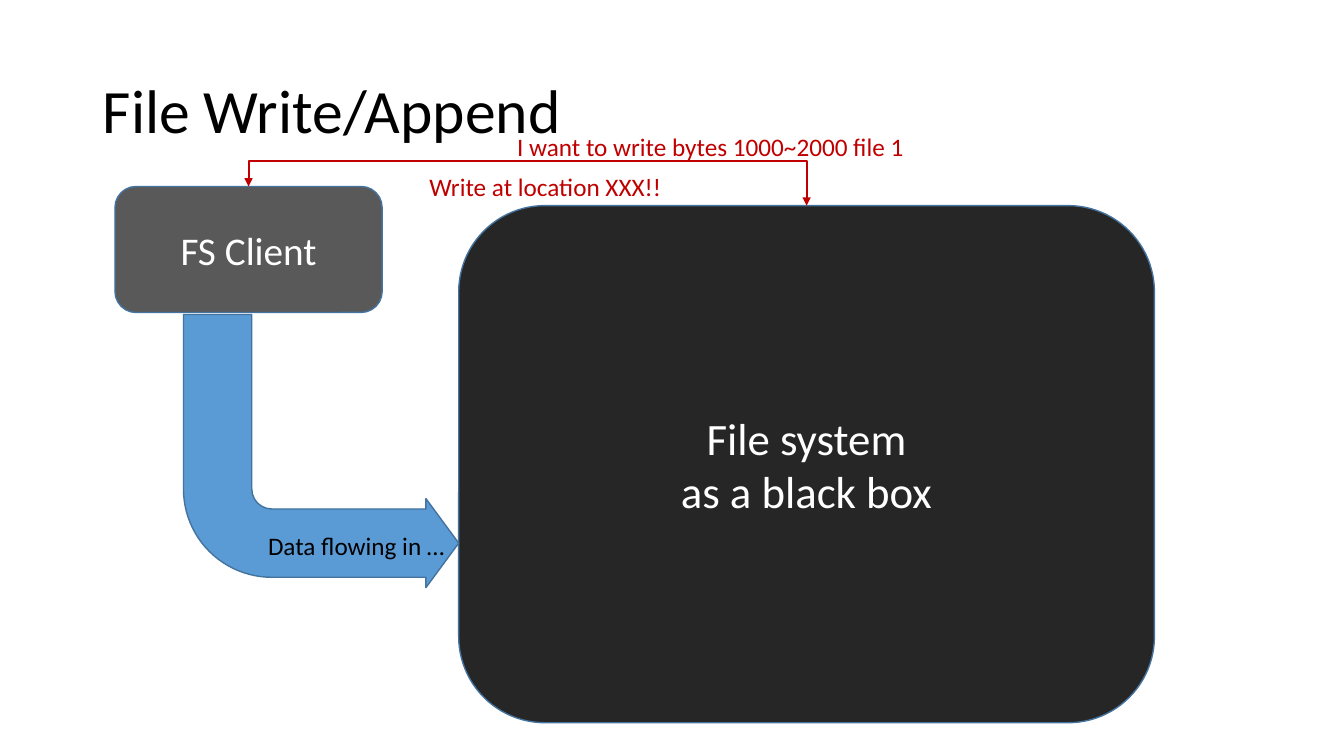
from dataclasses import dataclass

from pptx import Presentation
from pptx.dml.color import RGBColor
from pptx.enum.shapes import MSO_CONNECTOR, MSO_SHAPE
from pptx.enum.text import MSO_ANCHOR, MSO_AUTO_SIZE, PP_ALIGN
from pptx.oxml.ns import qn
from pptx.util import Inches, Pt
from lxml import etree

ELBOW = MSO_CONNECTOR.ELBOW
ROUNDED, BENT_ARROW = MSO_SHAPE.ROUNDED_RECTANGLE, MSO_SHAPE.BENT_ARROW
LEFT, CENTER = PP_ALIGN.LEFT, PP_ALIGN.CENTER
MIDDLE, TOP = MSO_ANCHOR.MIDDLE, MSO_ANCHOR.TOP
FIT_SHAPE, NO_FIT = MSO_AUTO_SIZE.SHAPE_TO_FIT_TEXT, MSO_AUTO_SIZE.NONE
TOP_SITE = 0


@dataclass(frozen=True)
class Theme:
    font: str = "Calibri"
    ink: str = "000000"
    paper: str = "FFFFFF"
    black_box: str = "262626"
    client: str = "595959"
    flow: str = "5B9BD5"
    outline: str = "43739E"
    request: str = "C00000"
    title_size: int = 44
    system_size: int = 32
    client_size: int = 28
    label_size: int = 18


THEME = Theme()


def color(value):
    return RGBColor.from_string(value)


def write(box, text, *, size, ink, align=LEFT, anchor=MIDDLE, wrap=True,
          fit=NO_FIT, spacing=1.0):
    """Fill a shape with text, one paragraph per line."""
    frame = box.text_frame
    frame.text = text
    frame.word_wrap = wrap
    frame.auto_size = fit
    frame.vertical_anchor = anchor
    for para in frame.paragraphs:
        para.alignment = align
        para.line_spacing = spacing
        for span in para.runs:
            span.font.name = THEME.font
            span.font.size = Pt(size)
            span.font.color.rgb = color(ink)


def add_title(page, text, left, top, width, height):
    title = page.shapes.title
    title.left, title.top = Inches(left), Inches(top)
    title.width, title.height = Inches(width), Inches(height)
    write(title, text, size=THEME.title_size, ink=THEME.ink, spacing=0.9)


def add_block(page, kind, left, top, width, height, fill):
    block = page.shapes.add_shape(
        kind, Inches(left), Inches(top), Inches(width), Inches(height))
    block.shadow.inherit = False
    block.fill.solid()
    block.fill.fore_color.rgb = color(fill)
    block.line.color.rgb = color(THEME.outline)
    block.line.width = Pt(1)
    return block


def add_label(page, text, left, top, width, ink):
    label = page.shapes.add_textbox(
        Inches(left), Inches(top), Inches(width), Inches(0.4))
    write(label, text, size=THEME.label_size, ink=ink, anchor=TOP,
          wrap=False, fit=FIT_SHAPE)


def join_tops(page, start, end, crest):
    """Link the tops of two boxes by a two-headed elbow that rises to crest."""
    start_x, end_x = (box.left + box.width // 2 for box in (start, end))
    drop, reach = end.top - start.top, end_x - start_x
    link = page.shapes.add_connector(ELBOW, start_x, start.top, end_x, end.top)
    link.begin_connect(start, TOP_SITE)
    link.end_connect(end, TOP_SITE)
    link.line.color.rgb = color(THEME.request)
    link.line.width = Pt(1.5)

    # The elbow leaves upwards, so its frame is turned a quarter and mirrored.
    link.left = (start_x + end_x - drop) // 2
    link.top = (start.top + end.top - reach) // 2
    link.width, link.height = drop, reach
    properties = link.element.spPr
    frame = properties.find(qn("a:xfrm"))
    frame.set("rot", str(270 * 60000))
    frame.set("flipH", "1")
    guides = properties.find(qn("a:prstGeom")).get_or_add_avLst()
    bend = round((Inches(crest) - start.top) / drop * 100000)
    etree.SubElement(guides, qn("a:gd"), name="adj1", fmla=f"val {bend}")
    line = properties.find(qn("a:ln"))
    for end_name in ("a:headEnd", "a:tailEnd"):
        etree.SubElement(line, qn(end_name), type="triangle")
    etree.SubElement(properties, qn("a:effectLst"))


def add_request(page, left, top):
    """Client, file system, and the messages they exchange."""
    system = add_block(page, ROUNDED, left + 3.41, top + 0.79, 6.9, 5.13,
                       THEME.black_box)
    write(system, "File system\nas a black box", size=THEME.system_size,
          ink=THEME.paper, align=CENTER)
    client = add_block(page, ROUNDED, left, top + 0.6, 2.65, 1.25,
                       THEME.client)
    write(client, "FS Client", size=THEME.client_size, ink=THEME.paper,
          align=CENTER)
    join_tops(page, client, system, crest=top + 0.35)
    add_label(page, "I want to write bytes 1000~2000 file 1",
              left + 3.89, top, 4.08, THEME.request)
    add_label(page, "Write at location XXX!!",
              left + 3.02, top + 0.4, 2.53, THEME.request)


def add_data_flow(page, left, top, width, height):
    arrow = add_block(page, BENT_ARROW, left, top, width, height, THEME.flow)
    for index, share in enumerate((0.25, 0.163, 0.12, 0.323)):
        arrow.adjustments[index] = share
    arrow.element.spPr.find(qn("a:xfrm")).set("flipV", "1")
    label_width = 1.99
    add_label(page, "Data flowing in …", left + width - label_width,
              top + 2.09, label_width, THEME.ink)


def main():
    deck = Presentation()
    deck.slide_width, deck.slide_height = Inches(13.33), Inches(7.5)
    page = deck.slides.add_slide(deck.slide_layouts.get_by_name("Title Only"))
    add_title(page, "File Write/Append", 0.92, 0.4, 11.5, 1.45)
    add_request(page, 1.14, 1.25)
    add_data_flow(page, 1.82, 3.12, 2.73, 2.71)
    deck.save("out.pptx")


if __name__ == "__main__":
    main()
